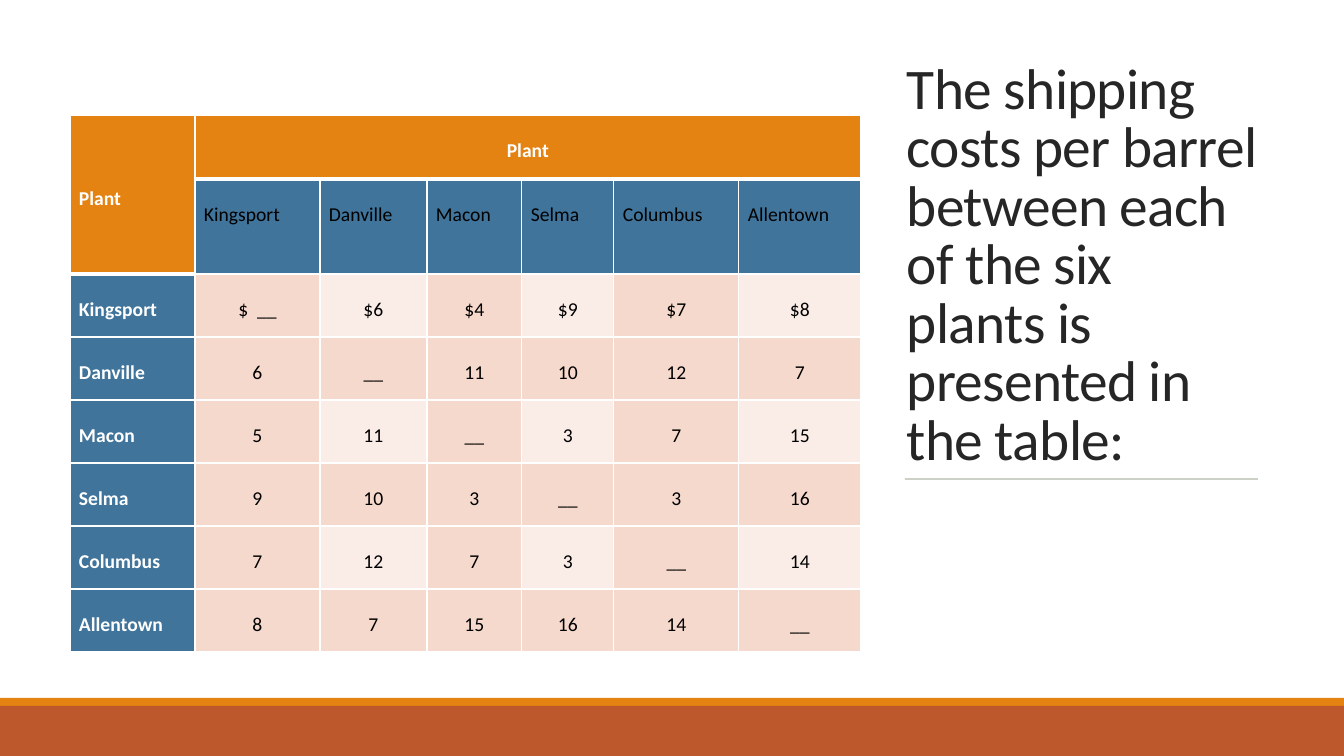
from lxml import etree
from pptx import Presentation, util as u
from pptx.dml.color import RGBColor
from pptx.enum import shapes, text
from pptx.oxml.ns import qn

TITLE = ("The shipping costs per barrel between each of the six plants "
         "is presented in the table:")
HEADING = "Plant"
PLANTS = ["Kingsport", "Danville", "Macon", "Selma", "Columbus", "Allentown"]
COSTS = [
    ["$  __", "$6", "$4", "$9", "$7", "$8"],
    ["6", "__", "11", "10", "12", "7"],
    ["5", "11", "__", "3", "7", "15"],
    ["9", "10", "3", "__", "3", "16"],
    ["7", "12", "7", "3", "__", "14"],
    ["8", "7", "15", "16", "14", "__"],
]

ORANGE, BLUE, RUST = "E48312", "40749B", "BD582C"
PEACH, PALE = "F5D9CC", "FAEDE7"
WHITE, BLACK, INK, OLIVE = "FFFFFF", "000000", "262626", "637052"

SLIDE_SIZE = (1344, 756)
BANDS = [(698, 8, ORANGE), (706, 50, RUST)]  # top, height, fill
TITLE_BOX = (897, 71, 375, 406)
RULE = (905, 479, 1258, 479)
TABLE_AT = (70, 115)
COLUMNS = [125, 125, 107, 95, 92, 125, 122]
ROWS = [64, 95] + [63] * len(PLANTS)
SIDE_MARGIN = 9
HEADING_DROP = 48  # one double-spaced line


def px(length):
    return u.Emu(round(length * 914400 / 100.8))


def color(value):
    return RGBColor.from_string(value)


def write(frame, content, size=14, ink=BLACK, bold=False, align="LEFT",
          line_spacing=2.0, tracking=None):
    paragraph = frame.paragraphs[0]
    paragraph.alignment = getattr(text.PP_ALIGN, align)
    paragraph.line_spacing = line_spacing
    run = paragraph.add_run()
    run.text = content
    run.font.name = "Calibri"
    run.font.size = u.Pt(size)
    run.font.bold = bold
    run.font.color.rgb = color(ink)
    if tracking is not None:
        run.font._element.set("spc", str(round(tracking * 100)))


def add_border(cell, side, points):
    line = etree.SubElement(cell._tc.get_or_add_tcPr(), qn("a:ln" + side),
                            w=str(u.Pt(points)))
    fill = etree.SubElement(line, qn("a:solidFill"))
    etree.SubElement(fill, qn("a:srgbClr"), val=WHITE)


def bottom_border(row, column):
    """Width in points: the orange headings have a heavier lower edge."""
    under_heading = row == 1 if column == 0 else row == 0
    return 3 if under_heading else 1


def cell_format(row, column):
    """Return the text, fill and text format of one cell."""
    if row == 0 or row == 1 and column == 0:
        starts_heading = row == 0 and column < 2
        align = "CENTER" if column else "LEFT"
        return (HEADING if starts_heading else "", ORANGE,
                dict(ink=WHITE, bold=True, align=align))
    if row == 1:
        return PLANTS[column - 1], BLUE, {}
    if column == 0:
        return PLANTS[row - 2], BLUE, dict(ink=WHITE, bold=True)
    fill = PALE if row % 2 == 0 and column % 2 == 0 else PEACH
    return COSTS[row - 2][column - 1], fill, dict(align="CENTER")


def add_cost_table(slide):
    frame = slide.shapes.add_table(
        len(ROWS), len(COLUMNS), *map(px, TABLE_AT),
        px(sum(COLUMNS)), px(sum(ROWS)))
    table = frame.table
    table.horz_banding = False
    for column, width in zip(table.columns, COLUMNS):
        column.width = px(width)
    for row, height in zip(table.rows, ROWS):
        row.height = px(height)
    table.cell(0, 0).merge(table.cell(1, 0))
    table.cell(0, 1).merge(table.cell(0, len(PLANTS)))

    for row in range(len(ROWS)):
        for column in range(len(COLUMNS)):
            cell = table.cell(row, column)
            content, fill, text_format = cell_format(row, column)
            cell.margin_left = cell.margin_right = px(SIDE_MARGIN)
            cell.margin_top = cell.margin_bottom = 0
            add_border(cell, "L", 1)
            add_border(cell, "R", 1)
            add_border(cell, "T", bottom_border(row - 1, column))
            add_border(cell, "B", bottom_border(row, column))
            cell.fill.solid()
            cell.fill.fore_color.rgb = color(fill)
            if content:
                write(cell.text_frame, content, **text_format)
    table.cell(0, 0).margin_top = px(HEADING_DROP)


def add_band(slide, top, height, fill):
    shape = slide.shapes.add_shape(
        shapes.MSO_SHAPE.RECTANGLE, 0, px(top), px(SLIDE_SIZE[0]), px(height))
    shape.shadow.inherit = False
    shape.fill.solid()
    shape.fill.fore_color.rgb = color(fill)
    shape.line.fill.background()


def add_title(slide):
    box = slide.shapes.add_textbox(*map(px, TITLE_BOX))
    frame = box.text_frame
    frame.word_wrap = True
    frame.vertical_anchor = text.MSO_ANCHOR.BOTTOM
    write(frame, TITLE, size=41, ink=INK, line_spacing=0.85, tracking=-0.5)


def add_rule(slide):
    rule = slide.shapes.add_connector(
        shapes.MSO_CONNECTOR.STRAIGHT, *map(px, RULE))
    rule.line.width = u.Pt(0.5)
    rule.line.color.rgb = color(OLIVE)
    tint = rule._element.spPr.find(".//" + qn("a:srgbClr"))
    etree.SubElement(tint, qn("a:alpha"), val="90000")
    etree.SubElement(rule._element.spPr, qn("a:effectLst"))


def main():
    presentation = Presentation()
    presentation.slide_width, presentation.slide_height = map(px, SLIDE_SIZE)
    slide = presentation.slides.add_slide(presentation.slide_layouts[6])
    add_title(slide)
    add_rule(slide)
    for band in BANDS:
        add_band(slide, *band)
    add_cost_table(slide)
    presentation.save("out.pptx")


if __name__ == "__main__":
    main()
